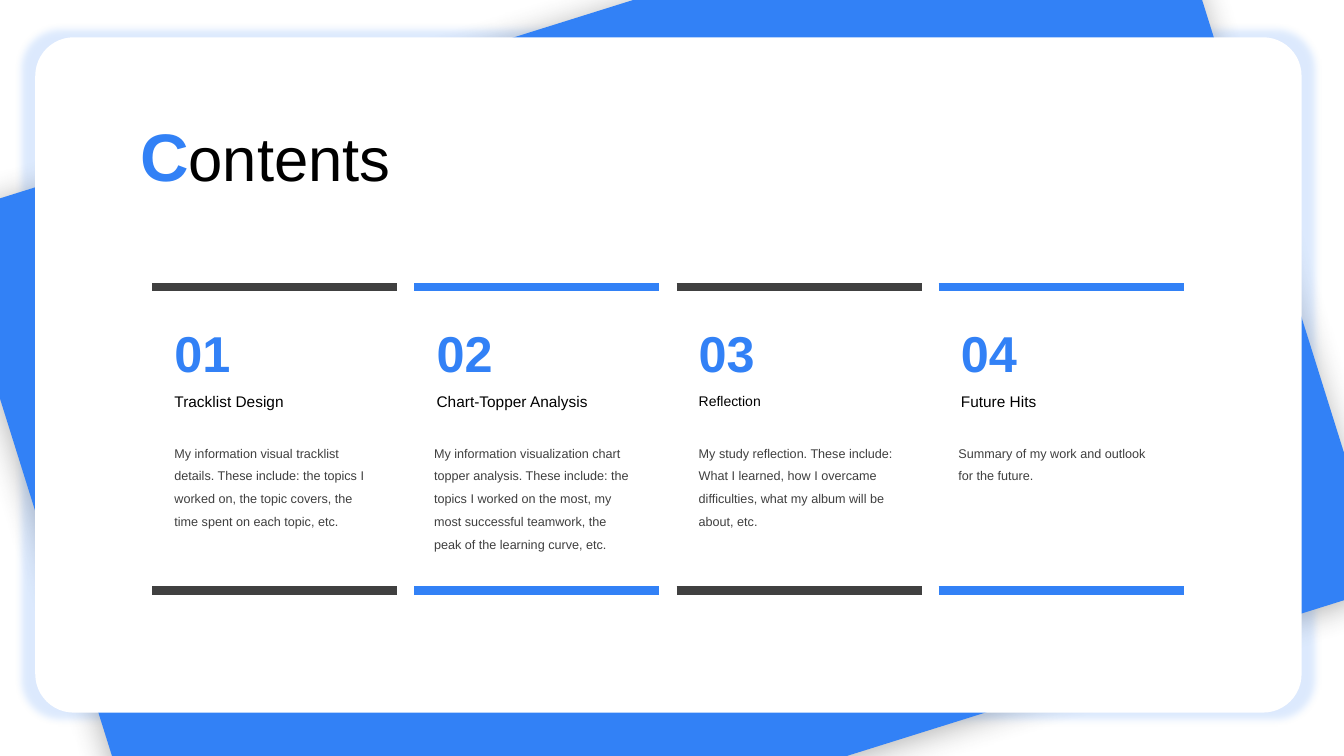
from lxml import etree
from pptx import Presentation
from pptx.dml.color import RGBColor
from pptx.enum.shapes import MSO_CONNECTOR, MSO_SHAPE
from pptx.enum.text import MSO_ANCHOR, MSO_AUTO_SIZE, PP_ALIGN
from pptx.oxml.ns import qn
from pptx.util import Inches, Pt

RECT, ROUND = MSO_SHAPE.RECTANGLE, MSO_SHAPE.ROUNDED_RECTANGLE
LINE = MSO_CONNECTOR.STRAIGHT
TOP, LEFT, FIXED = MSO_ANCHOR.TOP, PP_ALIGN.LEFT, MSO_AUTO_SIZE.NONE
FONT = "Arial"
BLUE, DARK, GREY, BLACK, WHITE = "3281F6", "404040", "3F3F3F", "000000", "FFFFFF"
WIDE, HIGH = 13.33, 7.5
START, PITCH, COL = 1.51, 2.6, 2.43
TOPICS = [
    ("01", "Tracklist Design", 11, 0.05,
     "My information visual tracklist details. These include: the topics I "
     "worked on, the topic covers, the time spent on each topic, etc."),
    ("02", "Chart-Topper Analysis", 11, 0.04,
     "My information visualization chart topper analysis. These include: the "
     "topics I worked on the most, my most successful teamwork, the peak of "
     "the learning curve, etc."),
    ("03", "Reflection", 10, 0.05,
     "My study reflection. These include: What I learned, how I overcame "
     "difficulties, what my album will be about, etc."),
    ("04", "Future Hits", 11, 0.04,
     "Summary of my work and outlook for the future."),
]


def tint(code):
    return RGBColor.from_string(code)


def inside(box, x, y, w, h):
    left, top, wide, high = box
    return left + x * wide, top + y * high, w * wide, h * high


def style(font, size, hue, bold=False):
    font.name, font.size, font.bold = FONT, Pt(size), bold
    font.color.rgb = tint(hue)


def panel(slide, kind, box, hue):
    shape = slide.shapes.add_shape(kind, *map(Inches, box))
    shape.shadow.inherit = False
    shape.fill.solid()
    shape.fill.fore_color.rgb = tint(hue)
    shape.line.fill.background()
    return shape


def shade(shape, hue, alpha, blur, dist, scale):
    effects = shape.element.spPr.find(qn("a:effectLst"))
    outer = etree.SubElement(
        effects, qn("a:outerShdw"), blurRad=str(Pt(blur)), dist=str(Pt(dist)),
        dir="5400000", sx=str(scale * 1000), sy=str(scale * 1000),
        algn="ctr", rotWithShape="0")
    color = etree.SubElement(outer, qn("a:srgbClr"), val=hue)
    etree.SubElement(color, qn("a:alpha"), val=str(alpha * 1000))


def bar(slide, x, y, w, hue):
    line = slide.shapes.add_connector(
        LINE, Inches(x), Inches(y), Inches(x + w), Inches(y))
    line.line.color.rgb = tint(hue)
    line.line.width = Pt(6)
    etree.SubElement(line.element.spPr, qn("a:effectLst"))


def label(slide, box, text, size, hue, bold=False, space=1.0):
    frame = slide.shapes.add_textbox(*map(Inches, box)).text_frame
    frame.word_wrap = True
    para = frame.paragraphs[0]
    para.text = text
    para.line_spacing = space
    style(para.font, size, hue, bold)


def backdrop(slide, box):
    tilt = panel(slide, ROUND, inside(box, 0.02, 0.01, 0.94, 1.04), BLUE)
    tilt.rotation = 162.6
    shade(tilt, GREY, 40, 22, 3, 100)
    card = panel(slide, ROUND, inside(box, 0.03, 0.05, 0.94, 0.89), WHITE)
    card.left, card.top, card.width, card.height = map(
        Inches, (0.35, 0.37, 12.56, 6.7))
    tilt.left, tilt.top, tilt.width, tilt.height = map(
        Inches, (0.31, 0.09, 12.56, 7.79))
    shade(card, BLUE, 16, 5, 0, 102)
    for shape in (tilt, card):
        shape.adjustments[0] = 0.057


def heading(slide, box):
    title = slide.shapes.title
    title.left, title.top, title.width, title.height = map(Inches, box)
    slide.shapes.element.append(title.element)
    frame = title.text_frame
    frame.auto_size, frame.vertical_anchor = FIXED, TOP
    para = frame.paragraphs[0]
    para.alignment = LEFT
    for text, size, hue, bold in (("C", 48, BLUE, True),
                                  ("ontents", 44, BLACK, False)):
        run = para.add_run()
        run.text = text
        style(run.font, size, hue, bold)


def topic(slide, box, hue, item):
    code, name, size, shift, text = item
    x, y, w, h = box
    panel(slide, RECT, inside(box, 0, 0.04, 1, 0.85), WHITE)
    for edge in (y, y + h):
        bar(slide, x, edge, w, hue)
    label(slide, inside(box, 0.05, 0.1, 0.32, 0.24), code, 36, BLUE, True)
    label(slide, inside(box, 0.05, 0.33, 0.9, 0.1), name, size, BLACK)
    label(slide, inside(box, shift, 0.48, 0.9, 0.41), text, 9, GREY, space=1.5)


def main():
    deck = Presentation()
    deck.slide_width, deck.slide_height = Inches(WIDE), Inches(HIGH)
    slide = deck.slides.add_slide(deck.slide_layouts[5])
    backdrop(slide, (0, 0, WIDE, HIGH))
    heading(slide, (1.29, 1.08, 2.87, 0.91))
    for i, item in enumerate(TOPICS):
        box = (START + i * PITCH, 2.85, COL, 3.01)
        topic(slide, box, (DARK, BLUE)[i % 2], item)
    deck.save("out.pptx")


if __name__ == "__main__":
    main()
